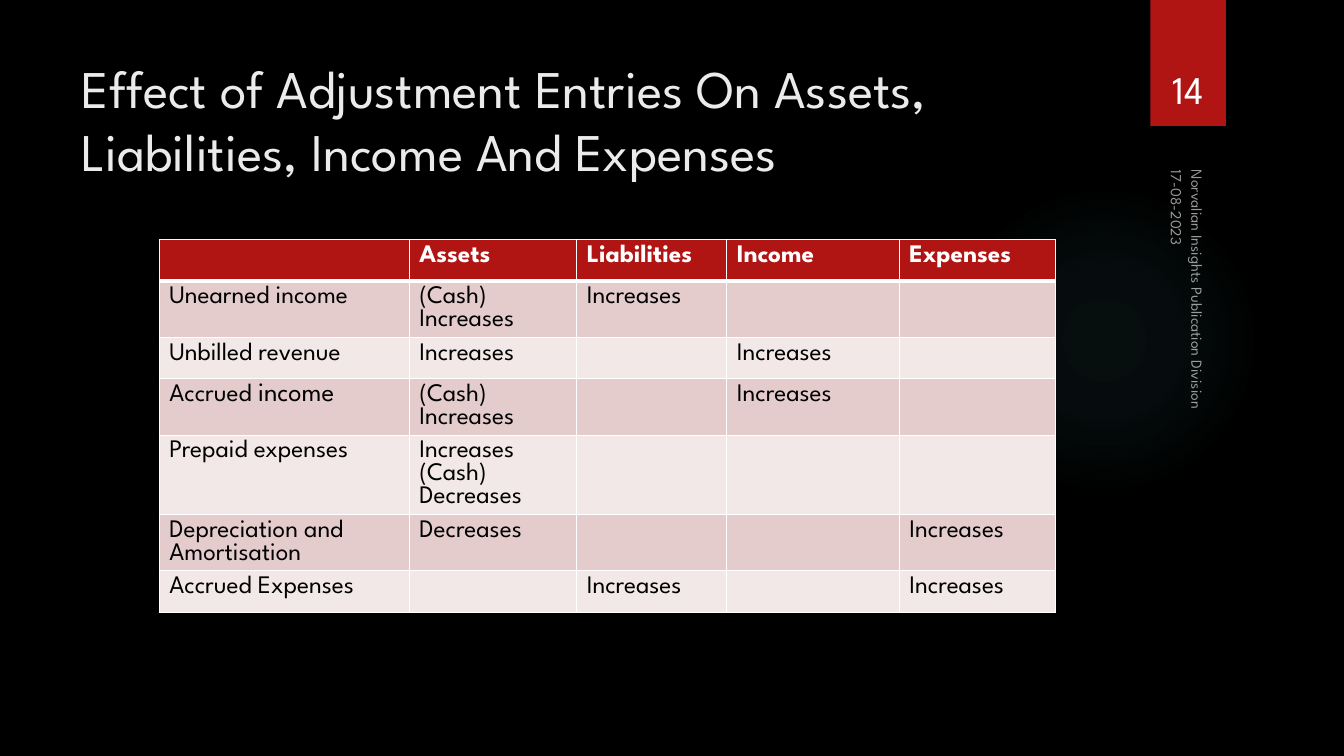
from dataclasses import dataclass

from lxml import etree
from pptx import Presentation
from pptx.dml.color import RGBColor
from pptx.enum.shapes import MSO_SHAPE
from pptx.enum.text import MSO_ANCHOR, PP_ALIGN
from pptx.oxml import parse_xml
from pptx.oxml.ns import nsdecls, qn
from pptx.util import Inches, Pt

TOP, BOTTOM = MSO_ANCHOR.TOP, MSO_ANCHOR.BOTTOM
LEFT, CENTER = PP_ALIGN.LEFT, PP_ALIGN.CENTER
RECTANGLE, OVAL = MSO_SHAPE.RECTANGLE, MSO_SHAPE.OVAL


@dataclass(frozen=True)
class Theme:
    font: str = "League Spartan"
    background: str = "000000"
    accent: str = "B01513"
    glow: str = "50B9C1"
    title: str = "EBEBEB"
    light: str = "FFFFFF"
    dark: str = "000000"
    bands: tuple = ("E4CCCC", "F2E8E7")
    title_size: float = 37.8
    number_size: float = 28
    body_size: float = 18
    body_line: float = 16.5
    larger_size: float = 19
    side_size: float = 11


THEME = Theme()

TITLE = "Effect of Adjustment Entries On Assets, Liabilities, Income And Expenses"
DATE = "17-08-2023"
FOOTER = "Norvalian Insights Publication Division"
SLIDE_NUMBER = "14"

# A line break inside a cell starts a new paragraph.
ROWS = [
    ("", "Assets", "Liabilities", "Income", "Expenses"),
    ("Unearned income", "(Cash) Increases", "Increases", "", ""),
    ("Unbilled revenue", "Increases", "", "Increases", ""),
    ("Accrued ", "(Cash) Increases", "", "Increases", ""),
    ("Prepaid expenses", "Increases\n(Cash) Decreases", "", "", ""),
    ("Depreciation and Amortisation", "Decreases", "", "", "Increases"),
    ("Accrued Expenses", "", "Increases", "", "Increases"),
]
LARGER_WORD = (3, 0, "income")
COLUMN_WIDTHS = (2.48, 1.66, 1.49, 1.71, 1.55)
ROW_HEIGHT = 0.41
TABLE_LEFT, TABLE_TOP = 1.58, 2.38

# Position in the glow and opacity, both in percent
GLOW_STOPS = ((0, 7), (36, 6), (69, 0))


def style(paragraph, size, color, bold=False):
    font = paragraph.font
    font.name, font.size, font.bold = THEME.font, Pt(size), bold
    font.color.rgb = RGBColor.from_string(color)


def add_text(slide, text, box, size, color, anchor=TOP, align=LEFT):
    shape = slide.shapes.add_textbox(*map(Inches, box))
    frame = shape.text_frame
    frame.word_wrap = True
    frame.vertical_anchor = anchor
    paragraph = frame.paragraphs[0]
    paragraph.text = text
    paragraph.alignment = align
    style(paragraph, size, color)
    return shape


def add_side_text(slide, text, box, anchor):
    """Add translucent text that reads downwards."""
    shape = add_text(slide, text, box, THEME.side_size, THEME.light, anchor)
    shape.rotation = 90
    for color in shape.text_frame.paragraphs[0]._p.iter(qn("a:srgbClr")):
        etree.SubElement(color, qn("a:alpha"), val="60000")


def add_plain_shape(slide, kind, box, color):
    shape = slide.shapes.add_shape(kind, *map(Inches, box))
    shape.shadow.inherit = False
    shape.line.fill.background()
    shape.fill.solid()
    shape.fill.fore_color.rgb = RGBColor.from_string(color)
    return shape


def add_glow(slide):
    shape = add_plain_shape(slide, OVAL, (9.41, 1.83, 3.08, 3.08), THEME.glow)
    stops = "".join(
        f'<a:gs pos="{position * 1000}"><a:srgbClr val="{THEME.glow}">'
        f'<a:alpha val="{opacity * 1000}"/></a:srgbClr></a:gs>'
        for position, opacity in GLOW_STOPS
    )
    gradient = parse_xml(
        f'<a:gradFill {nsdecls("a")}><a:gsLst>{stops}</a:gsLst><a:path path="circle">'
        '<a:fillToRect l="50000" t="50000" r="50000" b="50000"/></a:path></a:gradFill>'
    )
    properties = shape._element.spPr
    properties.replace(properties.find(qn("a:solidFill")), gradient)


def set_borders(cell, top_width, bottom_width):
    properties = cell._tc.get_or_add_tcPr()
    widths = {"lnL": 1, "lnR": 1, "lnT": top_width, "lnB": bottom_width}
    for index, (side, width) in enumerate(widths.items()):
        border = parse_xml(
            f'<a:{side} {nsdecls("a")} w="{Pt(width)}"><a:solidFill>'
            f'<a:srgbClr val="{THEME.light}"/></a:solidFill></a:{side}>'
        )
        properties.insert(index, border)


def add_effects_table(slide):
    table = slide.shapes.add_table(
        len(ROWS), len(COLUMN_WIDTHS), Inches(TABLE_LEFT), Inches(TABLE_TOP),
        Inches(sum(COLUMN_WIDTHS)), Inches(ROW_HEIGHT * len(ROWS)),
    ).table
    for column, width in zip(table.columns, COLUMN_WIDTHS):
        column.width = Inches(width)
    for row_index, texts in enumerate(ROWS):
        header = row_index == 0
        table.rows[row_index].height = Inches(ROW_HEIGHT)
        fill = THEME.accent if header else THEME.bands[(row_index - 1) % 2]
        for column_index, text in enumerate(texts):
            cell = table.cell(row_index, column_index)
            cell.text = text
            cell.fill.solid()
            cell.fill.fore_color.rgb = RGBColor.from_string(fill)
            # The line under the header belongs to both neighbouring rows.
            set_borders(cell, 3 if row_index == 1 else 1, 3 if header else 1)
            for paragraph in cell.text_frame.paragraphs:
                color = THEME.light if header else THEME.dark
                style(paragraph, THEME.body_size, color, header)
                paragraph.line_spacing = Pt(THEME.body_line)
    row_index, column_index, word = LARGER_WORD
    run = table.cell(row_index, column_index).text_frame.paragraphs[0].add_run()
    run.text = word
    run.font.size = Pt(THEME.larger_size)


def main():
    presentation = Presentation()
    presentation.slide_width, presentation.slide_height = Inches(13.33), Inches(7.5)
    slide = presentation.slides.add_slide(presentation.slide_layouts[6])
    slide.background.fill.solid()
    slide.background.fill.fore_color.rgb = RGBColor.from_string(THEME.background)

    add_glow(slide)
    add_plain_shape(slide, RECTANGLE, (11.41, 0, 0.75, 1.25), THEME.accent)
    add_text(slide, TITLE, (0.71, 0.5, 10.29, 1.53), THEME.title_size, THEME.title)
    add_side_text(slide, DATE, (11.11, 1.96, 1.08, 0.33), TOP)
    add_side_text(slide, FOOTER, (9.79, 3.53, 4.22, 0.33), BOTTOM)
    add_text(slide, SLIDE_NUMBER, (11.32, 0.32, 0.92, 0.84),
             THEME.number_size, THEME.light, BOTTOM, CENTER)
    add_effects_table(slide)
    presentation.save("out.pptx")


if __name__ == "__main__":
    main()
